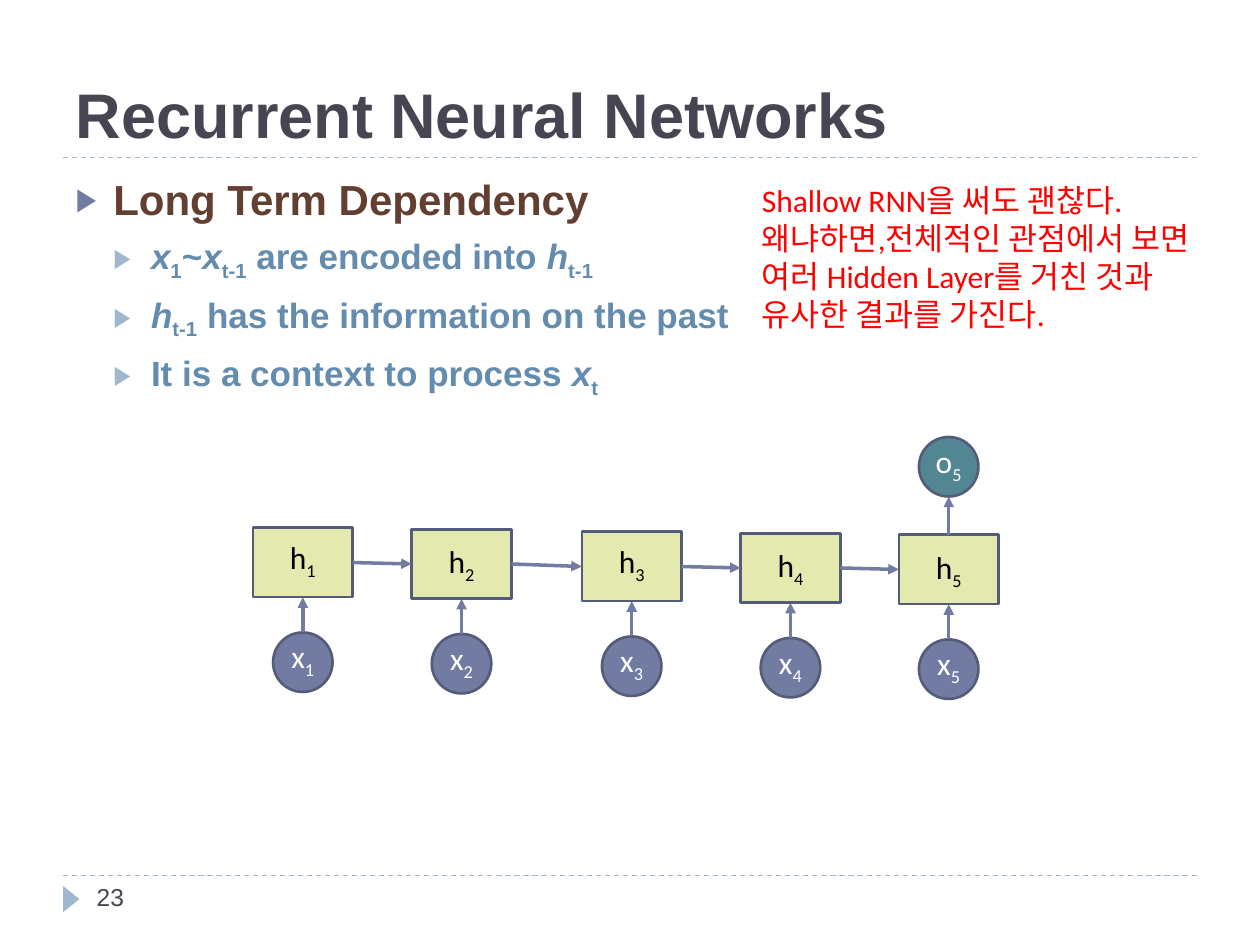
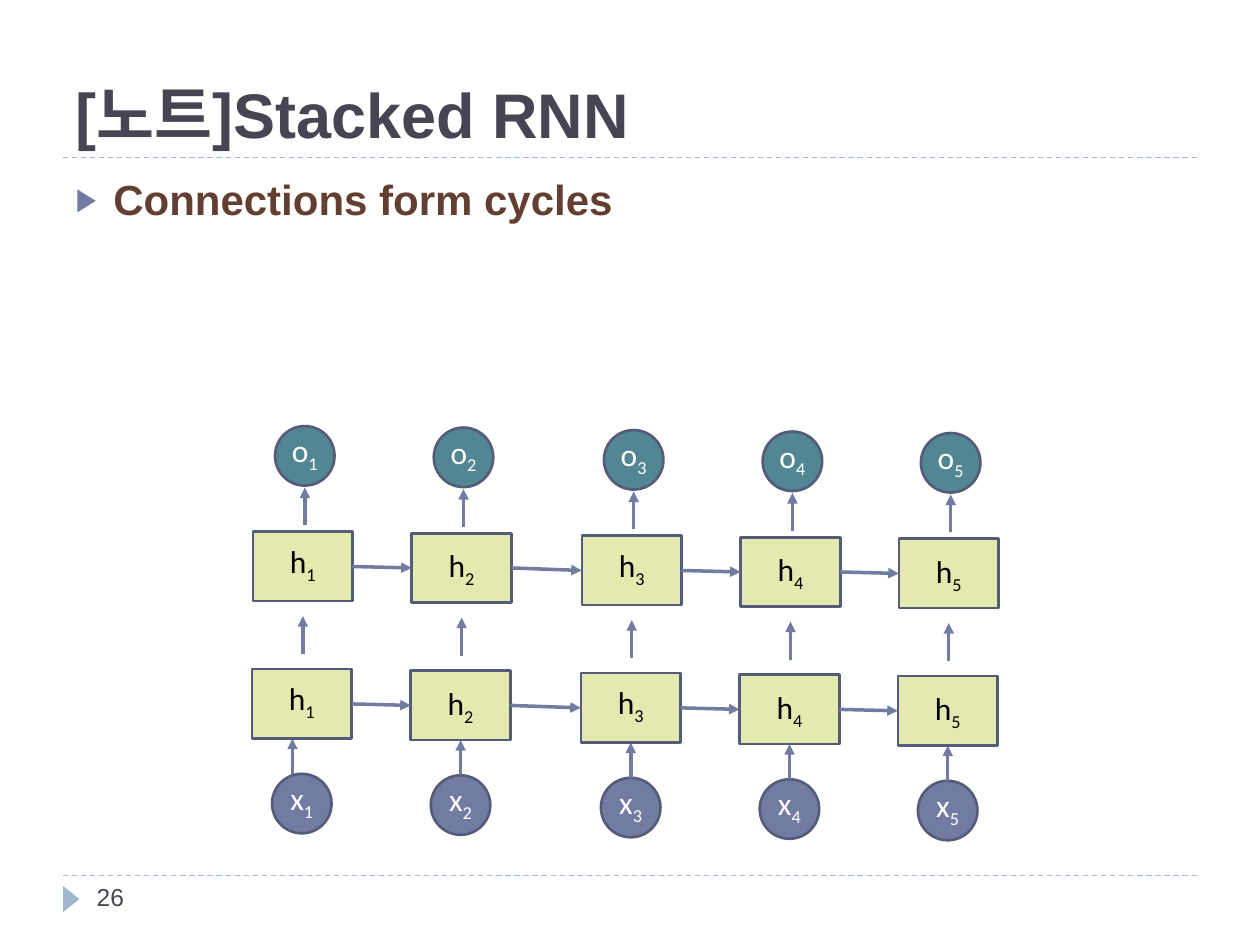
from pptx import Presentation
from pptx.dml.color import RGBColor
from pptx.enum.dml import MSO_LINE
from pptx.enum.shapes import MSO_CONNECTOR, MSO_SHAPE
from pptx.enum.text import MSO_ANCHOR, MSO_AUTO_SIZE, PP_ALIGN
from pptx.oxml.ns import qn
from pptx.util import Cm, Pt
from lxml.etree import SubElement

INK, BROWN, BLUE, RED = "464653", "633F32", "638CAE", "FF0000"
INDIGO, PALE, EDGE = "727CA3", "9FB8CD", "545C79"
LIME, TEAL, WHITE, BLACK = "E4E9AF", "528693", "FFFFFF", "000000"

TITLE = {"name": "Arial", "size": Pt(36), "bold": True, "color": INK}
NUMBER = {"name": "Arial", "size": Pt(14), "color": INK}
NOTE = {"name": "Calibri", "size": Pt(18), "color": RED}
LEVELS = [
    {"font": {"name": "Arial", "size": Pt(24), "bold": True, "color": BROWN},
     "before": 18, "bullet": INDIGO},
    {"font": {"name": "Arial", "size": Pt(20), "bold": True, "color": BLUE},
     "before": 6, "bullet": PALE},
]
INDENT = 0.76

COLUMNS = [5.1, 8.3, 11.73, 14.93, 18.12]
DROPS = [0, 0.03, 0.08, 0.11, 0.14]
LABEL_LIFTS = [0.13, 0, 0.13, 0, 0]
BOX_W, BOX_H, CIRCLE = 2.01, 1.4, 1.2


def rgb(value):
    return RGBColor.from_string(value)


def set_font(font, values):
    for key, value in values.items():
        if key == "color":
            font.color.rgb = rgb(value)
        else:
            setattr(font, key, value)


def add_runs(p, runs, values):
    for text, style in runs:
        r = p.add_run()
        r.text = text
        set_font(r.font, values)
        if style == "italic":
            r.font.italic = True
        if style == "sub":
            r._r.get_or_add_rPr().set("baseline", "-25000")


def place(sp, left, top, width, height):
    frame = {"left": left, "top": top, "width": width, "height": height}
    for key, value in frame.items():
        setattr(sp, key, Cm(value))


def add_title(s, text):
    sp = s.shapes.title
    place(sp, 1.27, 0.43, 22.86, 2.75)
    tf = sp.text_frame
    tf.vertical_anchor = MSO_ANCHOR.BOTTOM
    tf.auto_size = MSO_AUTO_SIZE.NONE
    p = tf.paragraphs[0]
    p.alignment = PP_ALIGN.LEFT
    add_runs(p, [(text, None)], TITLE)


def add_bullet(p, level, color):
    pPr = p._p.get_or_add_pPr()
    pPr.set("marL", str(Cm(INDENT * (level + 1))))
    pPr.set("indent", str(-Cm(INDENT)))
    SubElement(SubElement(pPr, qn("a:buClr")), qn("a:srgbClr")).set("val", color)
    SubElement(pPr, qn("a:buSzPct")).set("val", "76000")
    SubElement(pPr, qn("a:buFont")).set("typeface", "Arial")
    SubElement(pPr, qn("a:buChar")).set("char", "▶")


def add_list(s, items):
    sp = s.placeholders[1]
    place(sp, 1.27, 3.38, 22.86, 13.72)
    tf = sp.text_frame
    tf.auto_size = MSO_AUTO_SIZE.NONE
    for i, (level, runs) in enumerate(items):
        p = tf.add_paragraph() if i else tf.paragraphs[0]
        style = LEVELS[level]
        p.level = level
        p.space_before = Pt(style["before"])
        add_bullet(p, level, style["bullet"])
        add_runs(p, runs, style["font"])


def add_text(s, left, top, width, height, text, values):
    tf = s.shapes.add_textbox(Cm(left), Cm(top), Cm(width), Cm(height)).text_frame
    tf.word_wrap = True
    add_runs(tf.paragraphs[0], [(text, None)], values)


def add_shape(s, kind, left, top, width, height, fill, edge=None):
    sp = s.shapes.add_shape(kind, Cm(left), Cm(top), Cm(width), Cm(height))
    sp.shadow.inherit = False
    sp.fill.solid()
    sp.fill.fore_color.rgb = rgb(fill)
    if edge:
        sp.line.color.rgb = rgb(edge)
        sp.line.width = Pt(1.5)
    else:
        sp.line.fill.background()
    return sp


def add_line(s, x1, y1, x2, y2, color, width):
    line = s.shapes.add_connector(
        MSO_CONNECTOR.STRAIGHT, Cm(x1), Cm(y1), Cm(x2), Cm(y2))
    line.line.color.rgb = rgb(color)
    line.line.width = Pt(width)
    SubElement(line._element.spPr, qn("a:effectLst"))
    return line


def add_arrow(s, x1, y1, x2, y2):
    line = add_line(s, x1, y1, x2, y2, INDIGO, 2)
    SubElement(line.line._get_or_add_ln(), qn("a:tailEnd")).set("type", "triangle")


def add_label(sp, letter, number, color, lift):
    tf = sp.text_frame
    for side in ("left", "right", "top", "bottom"):
        setattr(tf, f"margin_{side}", 0)
    tf.margin_bottom = Cm(lift)
    tf.vertical_anchor = MSO_ANCHOR.MIDDLE
    p = tf.paragraphs[0]
    p.alignment = PP_ALIGN.CENTER
    values = {"name": "Calibri", "size": Pt(18), "color": color}
    add_runs(p, [(letter, None), (str(number), "sub")], values)


def add_circle(s, letter, column, top, fill, shift=0):
    left = COLUMNS[column] + (BOX_W - CIRCLE) / 2 + shift
    sp = add_shape(s, MSO_SHAPE.OVAL, left, top + DROPS[column],
                   CIRCLE, CIRCLE, fill, EDGE)
    add_label(sp, letter, column + 1, WHITE, 0.13)


def add_hidden_row(s, top, shift=0):
    for i, (left, drop) in enumerate(zip(COLUMNS, DROPS)):
        sp = add_shape(s, MSO_SHAPE.RECTANGLE, left + shift, top + drop,
                       BOX_W, BOX_H, LIME, EDGE)
        add_label(sp, "h", i + 1, BLACK, LABEL_LIFTS[i])
        if i:
            middle = top + BOX_H / 2
            add_arrow(s, COLUMNS[i - 1] + BOX_W + shift, middle + DROPS[i - 1],
                      left + shift, middle + drop)


def add_up_arrow(s, column, bottom, top, shift=0):
    x = COLUMNS[column] + BOX_W / 2 + shift
    drop = DROPS[column]
    add_arrow(s, x, bottom + drop, x, top + drop)


def add_inputs(s, top, hidden_top, first_shift=0, shift=0):
    for i in range(len(COLUMNS)):
        add_circle(s, "x", i, top, INDIGO, shift)
        add_up_arrow(s, i, top, hidden_top + BOX_H, shift if i else first_shift)


def add_slide(prs, title, number, items):
    s = prs.slides.add_slide(prs.slide_layouts[1])
    for y in (17.65, 3.18):
        line = add_line(s, 1.27, y, 24.13, y, PALE, 0.75)
        line.line.dash_style = MSO_LINE.DASH
    sp = add_shape(s, MSO_SHAPE.ISOSCELES_TRIANGLE, 1.17, 17.96, 0.53, 0.33, PALE)
    sp.rotation = 90
    add_title(s, title)
    add_text(s, 1.7, 17.65, 5.5, 1.02, str(number), NUMBER)
    add_list(s, items)
    return s


def add_dependency_slide(prs):
    s = add_slide(prs, "Recurrent Neural Networks", 23, [
        (0, [("Long Term Dependency", None)]),
        (1, [("x", "italic"), ("1", "sub"), ("~", None), ("x", "italic"),
             ("t-1", "sub"), (" are encoded into ", None), ("h", "italic"),
             ("t-1", "sub")]),
        (1, [("h", "italic"), ("t-1", "sub"),
             (" has the information on the past", None)]),
        (1, [("It is a context to process ", None), ("x", "italic"),
             ("t", "sub")]),
    ])
    hidden, output, last = 10.64, 8.67, len(COLUMNS) - 1
    add_inputs(s, 12.75, hidden)
    add_hidden_row(s, hidden)
    add_circle(s, "o", last, output, TEAL)
    add_up_arrow(s, last, hidden, output + CIRCLE)
    add_text(s, 15.11, 3.53, 9.27, 3.33,
             "Shallow RNN을 써도 괜찮다. 왜냐하면,전체적인 관점에서 보면 여러 "
             "Hidden Layer를 거친 것과 유사한 결과를 가진다.", NOTE)


def add_stacked_slide(prs):
    s = add_slide(prs, "[노트]Stacked RNN", 26,
                  [(0, [("Connections form cycles", None)])])
    output, upper, lower = 8.59, 10.72, 13.49
    add_inputs(s, 15.6, lower, -0.21, -0.02)
    add_hidden_row(s, lower, -0.02)
    add_hidden_row(s, upper)
    for i in range(len(COLUMNS)):
        add_up_arrow(s, i, lower - 0.3, upper + BOX_H + 0.3)
        add_circle(s, "o", i, output, TEAL, 0.04)
        add_up_arrow(s, i, upper - 0.13, output + CIRCLE + 0.04, 0.04)


def main():
    prs = Presentation()
    prs.slide_width, prs.slide_height = Cm(25.4), Cm(19.05)
    add_dependency_slide(prs)
    add_stacked_slide(prs)
    prs.save("out.pptx")


if __name__ == "__main__":
    main()
